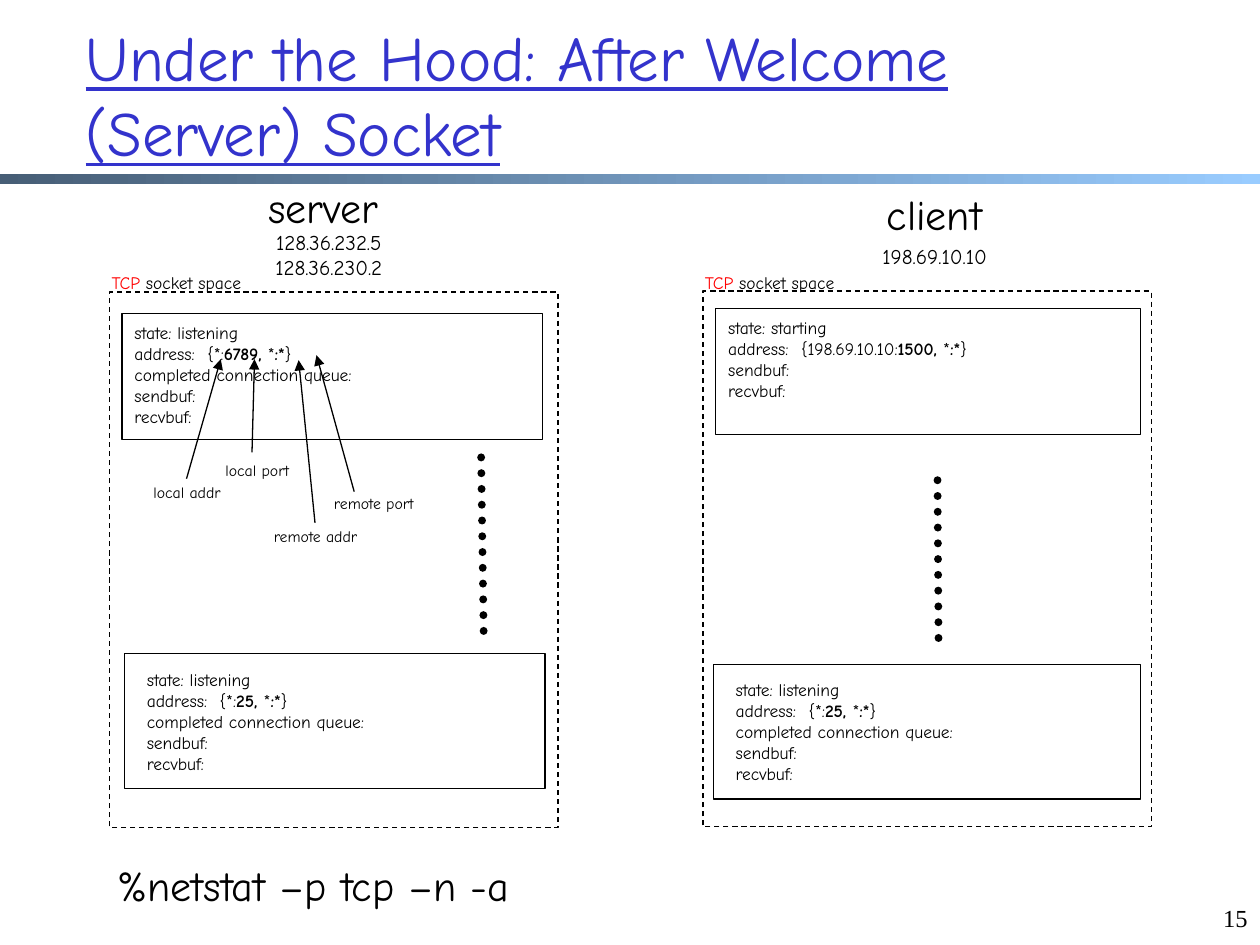
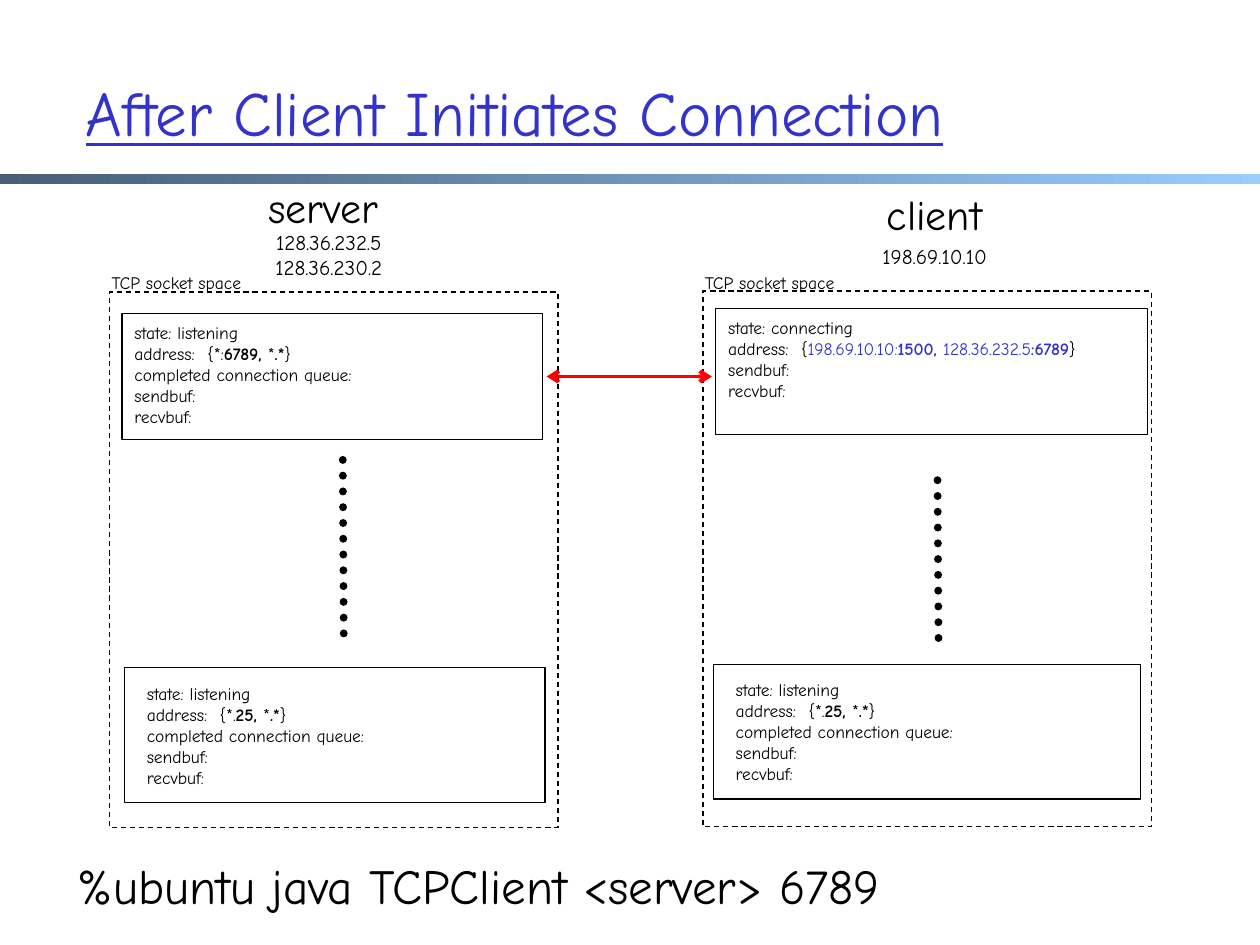
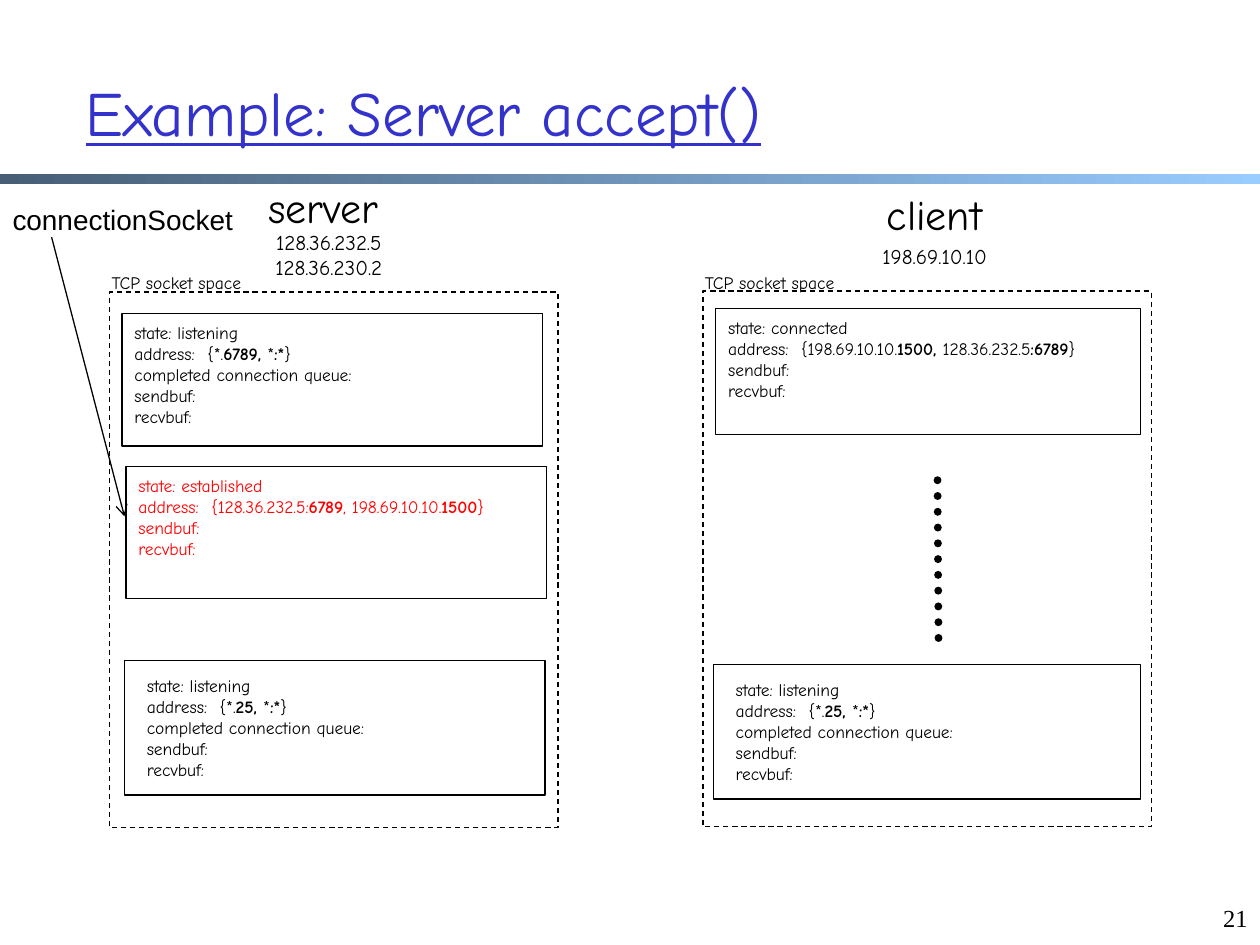
"""Build three slides on the TCP socket space of a server and a client."""
from dataclasses import dataclass

from lxml.etree import SubElement
from pptx import Presentation
from pptx.dml.color import RGBColor
from pptx.enum.dml import MSO_LINE
from pptx.enum.shapes import MSO_CONNECTOR, MSO_SHAPE
from pptx.enum.text import MSO_ANCHOR, MSO_AUTO_SIZE, PP_ALIGN
from pptx.oxml.ns import qn
from pptx.util import Cm, Pt


@dataclass(frozen=True)
class Theme:
    """Colours, fonts, type sizes and line widths."""
    black: str = "000000"
    blue: str = "3333CC"
    red: str = "FF0000"
    band: tuple = ("475E76", "99CCFF")
    hand: str = "Comic Neue"
    sans: str = "Arial"
    serif: str = "Times New Roman"
    title: int = 36
    head: int = 24
    addr: int = 12
    small: int = 10
    note: int = 9
    page: int = 14
    name: int = 16
    large: int = 28
    thin: float = 0.75
    bold: float = 2.25
    dot: float = 4.5


T = Theme()

HOSTS = [
    {"name": ("server", 4.98, 3.53, 3.07, 1.27),
     "addr": (["128.36.232.5", "128.36.230.2"], 5.08, 4.5, 3.1, 1.27),
     "space": (2.21, 5.89), "label": 1.88},
    {"name": ("client", 17.48, 3.68, 2.72, 1.27),
     "addr": (["198.69.10.10"], 17.37, 4.78, 2.95, 0.76),
     "space": (14.17, 5.87), "label": 13.84},
]
SPACE = (9.04, 10.8)
HIGH, LOW = (0, 0.05), (0.2, 0.18)
TAB = 1.47
QUEUE = "completed connection queue:"
BUFS = ["sendbuf:", "recvbuf:"]
CLIENT = (18.9, 9.68, 18.92, 12.9)


def top(port, high=2.54):
    """Describe the welcome socket of the server."""
    return {"box": (2.46, 6.32, 8.48, high), "pad": HIGH, "span": 5.25,
            "state": "listening", "pair": port}


def last(pair, *box):
    """Describe the bottom socket of a host."""
    return {"box": (*box, 2.72), "pad": LOW, "span": 5.25,
            "state": "listening", "pair": pair}


def peer(state, pair, wide=8.56, span=8.86):
    """Describe the first socket of the client."""
    return {"box": (14.43, 6.22, wide, 2.54), "pad": HIGH, "span": span,
            "state": state, "pair": pair, "queue": False}


def tail(pair, y):
    """Describe the bottom sockets of both hosts."""
    return [last(pair, 2.51, y, 8.48), last(pair, 14.38, 13.39, 8.61)]


SLIDES = [
    {"title": "Under the Hood: After Welcome (Server) Socket", "y": 0.3,
     "space": "^TCP^ socket space", "page": "15",
     "sockets": [top("{*:|6789, |*|:*|}"),
                 peer("starting", "{198.69.10.10:|1500, |*|:*|}", span=6.22),
                 *tail("{*:|25, |*|:*|}", 13.18)],
     "dots": [(9.7, 9.22, 9.75, 12.75), CLIENT],
     "notes": [("local addr", 2.79, 9.6, 1.96), ("local port", 4.22, 9.17, 1.93),
               ("remote addr", 5.18, 10.49, 2.36),
               ("remote port", 6.38, 9.83, 2.31)],
     "arrows": [(3.76, 9.65, 4.45, 7.24), (5.08, 9.12, 5.13, 7.24),
                (6.35, 10.54, 6.02, 7.26), (7.14, 9.91, 6.38, 7.16)],
     "tip": {"tail": "triangle"},
     "command": ("%netstat –p tcp –n -a", (2.11, 17.2, 8.97, 1.3), T.head)},
    {"title": "After Client Initiates Connection", "y": 0.66,
     "space": "TCP socket space",
     "sockets": [top("{*:|6789, |*|.*|}"),
                 peer("connecting",
                      "{^198.69.10.10:|1500, |128.36.232.5|:6789|^}", 8.71),
                 *tail("{*.|25, |*|.*|}", 13.46)],
     "dots": [(6.91, 9.27, 6.93, 12.8), CLIENT],
     "arrows": [(14.35, 7.59, 11.02, 7.59)],
     "tip": {"head": "arrow", "tail": "arrow", "ink": T.red, "size": T.bold},
     "command": ("%ubuntu java TCPClient <server> 6789",
                 (1.32, 17.12, 21.67, 1.45), T.large)},
    {"title": "Example: Server accept()", "y": 0.66,
     "space": "TCP socket space", "page": "21",
     "sockets": [top("{*.|6789, |*|:*|}", 2.67),
                 peer("connected", "{198.69.10.10.|1500, |128.36.232.5|:6789|}"),
                 {"box": (2.54, 9.4, 8.48, 2.67), "pad": HIGH, "span": 8.69,
                  "state": "established", "queue": False, "ink": T.red,
                  "pair": "{128.36.232.5:|6789|, 198.69.10.10.|1500|}"},
                 *tail("{*.|25, |*|:*|}", 13.31)],
     "dots": [CLIENT],
     "arrows": [(1.04, 4.78, 2.51, 10.41)], "tip": {"tail": "arrow"},
     "object": "connectionSocket"},
]


def cm(*nums):
    """Turn numbers into lengths."""
    return [Cm(num) for num in nums]


def rgb(code):
    """Turn a hex code into a colour."""
    return RGBColor.from_string(code)


def apply(item, form):
    """Set attributes from a dict of format values."""
    for key, val in form.items():
        setattr(item, key, val)


def write(para, text, size, ink=T.black, tint=T.red, font=T.hand, **more):
    """Add runs, with | around bold parts and ^ around tinted parts."""
    for hue, part in enumerate(text.split("^")):
        for odd, bit in enumerate(part.split("|")):
            if bit:
                run = para.add_run()
                run.text = bit
                apply(run.font, {"name": font, "size": Pt(size),
                                 "bold": odd % 2 == 1, **more})
                run.font.color.rgb = rgb(tint if hue % 2 else ink)


def text(shapes, lines, spot, size, align=PP_ALIGN.CENTER, wrap=False,
         anchor=MSO_ANCHOR.TOP, **look):
    """Add a text box with one paragraph a line."""
    frame = shapes.add_textbox(*cm(*spot)).text_frame
    apply(frame, {"word_wrap": wrap, "vertical_anchor": anchor,
                  "auto_size": MSO_AUTO_SIZE.SHAPE_TO_FIT_TEXT})
    for num, line in enumerate(lines):
        para = frame.add_paragraph() if num else frame.paragraphs[0]
        para.alignment = align
        if "\t" in line:
            tabs = SubElement(para._p.get_or_add_pPr(), qn("a:tabLst"))
            SubElement(tabs, qn("a:tab"), pos=str(Cm(TAB)), algn="l")
        write(para, line, size, **look)


def stroke(line, size=T.thin, ink=T.black, dash=None):
    """Format a line or an outline."""
    line.color.rgb = rgb(ink)
    apply(line, {"width": Pt(size), "dash_style": dash})


def frame(shapes, spot, dash=None):
    """Add an unfilled box."""
    box = shapes.add_shape(MSO_SHAPE.RECTANGLE, *cm(*spot))
    box.shadow.inherit = False
    box.fill.background()
    stroke(box.line, dash=dash)


def link(shapes, ends, head=None, tail=None, cap=None, **look):
    """Add a straight line with optional arrowheads."""
    line = shapes.add_connector(MSO_CONNECTOR.STRAIGHT, *cm(*ends))
    stroke(line.line, **look)
    props = line.element.spPr
    edge = props.find(qn("a:ln"))
    if cap:
        edge.set("cap", cap)
    for tag, kind in (("a:headEnd", head), ("a:tailEnd", tail)):
        if kind:
            SubElement(edge, qn(tag), type=kind)
    SubElement(props, qn("a:effectLst"))


def socket(shapes, data):
    """Add a socket box with its fields."""
    group = shapes.add_group_shape().shapes
    x, y, _, high = data["box"]
    dx, dy = data["pad"]
    lines = [f"state: {data['state']}", f"address:\t{data['pair']}"]
    lines += [QUEUE] * data.get("queue", True) + BUFS
    frame(group, data["box"])
    text(group, lines, (x + dx, y + dy, data["span"], high - 2 * dy), T.small,
         PP_ALIGN.LEFT, ink=data.get("ink", T.black), tint=T.blue)


def host(shapes, data, label):
    """Add a host heading and its socket space."""
    name, *spot = data["name"]
    text(shapes, [name], spot, T.head, anchor=MSO_ANCHOR.MIDDLE)
    lines, *spot = data["addr"]
    text(shapes, lines, spot, T.addr)
    frame(shapes, (*data["space"], *SPACE), MSO_LINE.DASH)
    text(shapes, [label], (data["label"], 5.36, 3.35, 0.69), T.small)


def head(shape, data):
    """Fill and place the title."""
    apply(shape, dict(zip(("left", "top", "width", "height"),
                          cm(1.47, data["y"], 22.38, 3.18))))
    apply(shape.text_frame, {"vertical_anchor": MSO_ANCHOR.MIDDLE,
                             "word_wrap": True, "auto_size": MSO_AUTO_SIZE.NONE})
    para = shape.text_frame.paragraphs[0]
    para.alignment = PP_ALIGN.LEFT
    write(para, data["title"], T.title, T.blue, underline=True)


def band(slide):
    """Put the gradient band on the layout that the slides share."""
    bar = slide.shapes.add_shape(MSO_SHAPE.RECTANGLE, *cm(0, 3.51, 25.4, 0.2))
    bar.shadow.inherit = False
    bar.line.fill.background()
    bar.fill.gradient()
    bar.fill.gradient_angle = 0
    for stop, code in zip(bar.fill.gradient_stops, T.band):
        stop.color.rgb = rgb(code)
    slide.slide_layout.shapes.element.append(bar.element)


def build(slide, data):
    """Draw one slide."""
    shapes = slide.shapes
    head(shapes.title, data)
    for item in HOSTS:
        host(shapes, item, data["space"])
    for item in data["sockets"]:
        socket(shapes, item)
    for ends in data["dots"]:
        link(shapes, ends, cap="rnd", size=T.dot, dash=MSO_LINE.ROUND_DOT)
    for ends in data["arrows"]:
        link(shapes, ends, **data["tip"])
    for note, *spot in data.get("notes", []):
        text(shapes, [note], (*spot, 0.64), T.note)
    if "command" in data:
        line, spot, size = data["command"]
        text(shapes, [line], spot, size, PP_ALIGN.LEFT)
    if "object" in data:
        text(shapes, [data["object"]], (0, 3.96, 4.95, 0.94), T.name, font=T.sans)
    if "page" in data:
        text(shapes, [data["page"]], (24.13, 18.08, 1.27, 1.27), T.page,
             PP_ALIGN.RIGHT, True, font=T.serif)


def main():
    """Build and save the deck."""
    deck = Presentation()
    apply(deck, {"slide_width": Cm(25.4), "slide_height": Cm(19.05)})
    layout = deck.slide_layouts[5]
    for num, data in enumerate(SLIDES):
        slide = deck.slides.add_slide(layout)
        if not num:
            band(slide)
        build(slide, data)
    deck.save("out.pptx")


if __name__ == "__main__":
    main()
